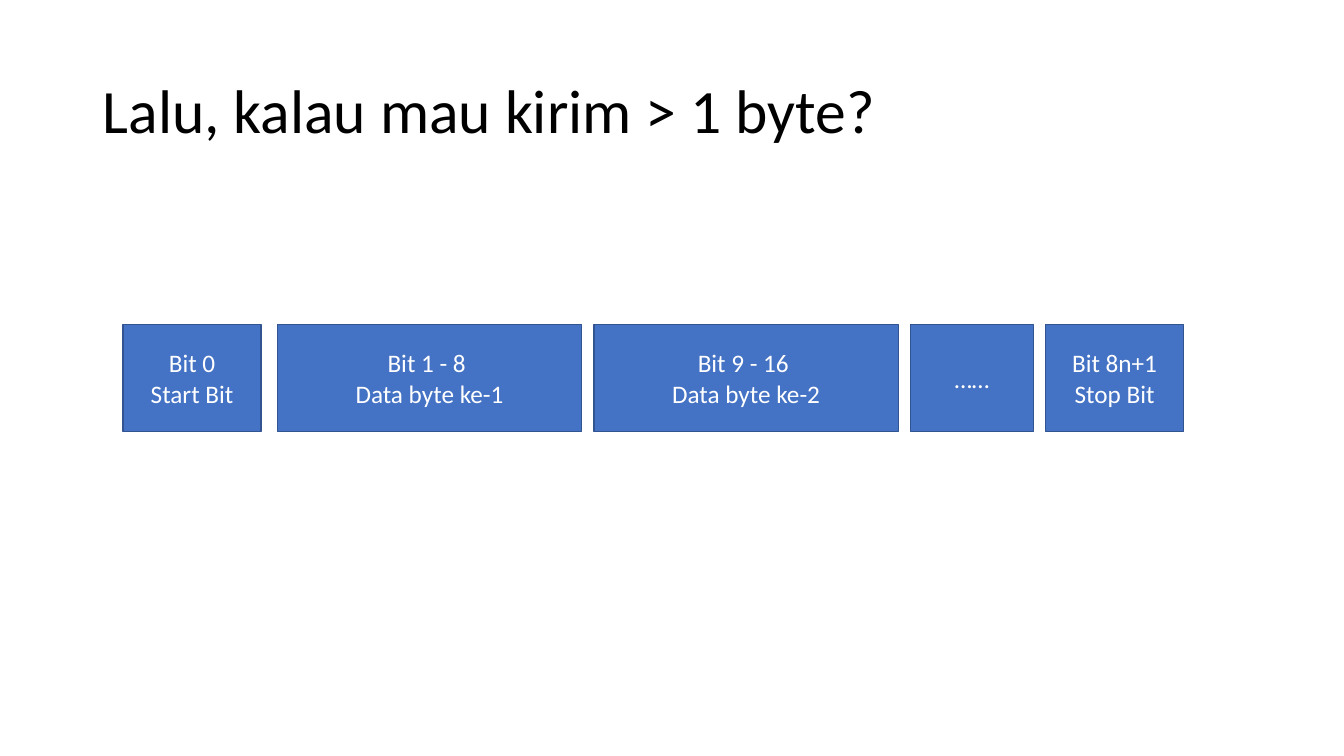
"""Build a slide showing the bit frame for sending more than one byte."""
from pptx import Presentation
from pptx import util as u
from pptx.dml.color import RGBColor
from pptx.enum import shapes, text

THEME = {
    "font": "Calibri", "title_size": 44, "box_size": 18, "line_width": 1,
    "title": RGBColor.from_string("000000"),
    "box": RGBColor.from_string("4472C4"),
    "edge": RGBColor.from_string("325491"),
    "label": RGBColor.from_string("FFFFFF"),
}


def write(tf, lines, size, color, align, spacing):
    """Fill a text frame, one paragraph per line."""
    frame_format = {"word_wrap": True, "vertical_anchor": text.MSO_ANCHOR.MIDDLE}
    for name, value in frame_format.items():
        setattr(tf, name, value)
    for i, line in enumerate(lines):
        p = tf.paragraphs[0] if i == 0 else tf.add_paragraph()
        p.alignment, p.line_spacing = align, spacing
        r = p.add_run()
        r.text = line
        for name, value in {"name": THEME["font"], "size": u.Pt(size)}.items():
            setattr(r.font, name, value)
        r.font.color.rgb = color


prs = Presentation()
prs.slide_width, prs.slide_height = u.Inches(13.33), u.Inches(7.5)
s = prs.slides.add_slide(prs.slide_layouts[6])

title = s.shapes.add_textbox(*map(u.Inches, (0.92, 0.4, 11.5, 1.45)))
write(title.text_frame, ["Lalu, kalau mau kirim > 1 byte?"],
      THEME["title_size"], THEME["title"], text.PP_ALIGN.LEFT, 0.9)

top, height = 3.22, 1.06
gap, start_gap = 0.12, 0.16
bit_w, byte_w, more_w = 1.37, 3.02, 1.22
frame = [
    (["Bit 0", "Start Bit"], bit_w, start_gap),
    (["Bit 1 - 8 ", "Data byte ke-1"], byte_w, gap),
    (["Bit 9 - 16 ", "Data byte ke-2"], byte_w, gap),
    (["……"], more_w, gap),
    (["Bit 8n+1", "Stop Bit"], bit_w, gap),
]

left = 1.22
for lines, width, gap_after in frame:
    sp = s.shapes.add_shape(shapes.MSO_SHAPE.RECTANGLE,
                            *map(u.Inches, (left, top, width, height)))
    sp.shadow.inherit = False
    sp.fill.solid()
    sp.fill.fore_color.rgb = THEME["box"]
    sp.line.color.rgb = THEME["edge"]
    sp.line.width = u.Pt(THEME["line_width"])
    write(sp.text_frame, lines, THEME["box_size"], THEME["label"],
          text.PP_ALIGN.CENTER, 1.0)
    left += width + gap_after

prs.save("out.pptx")
